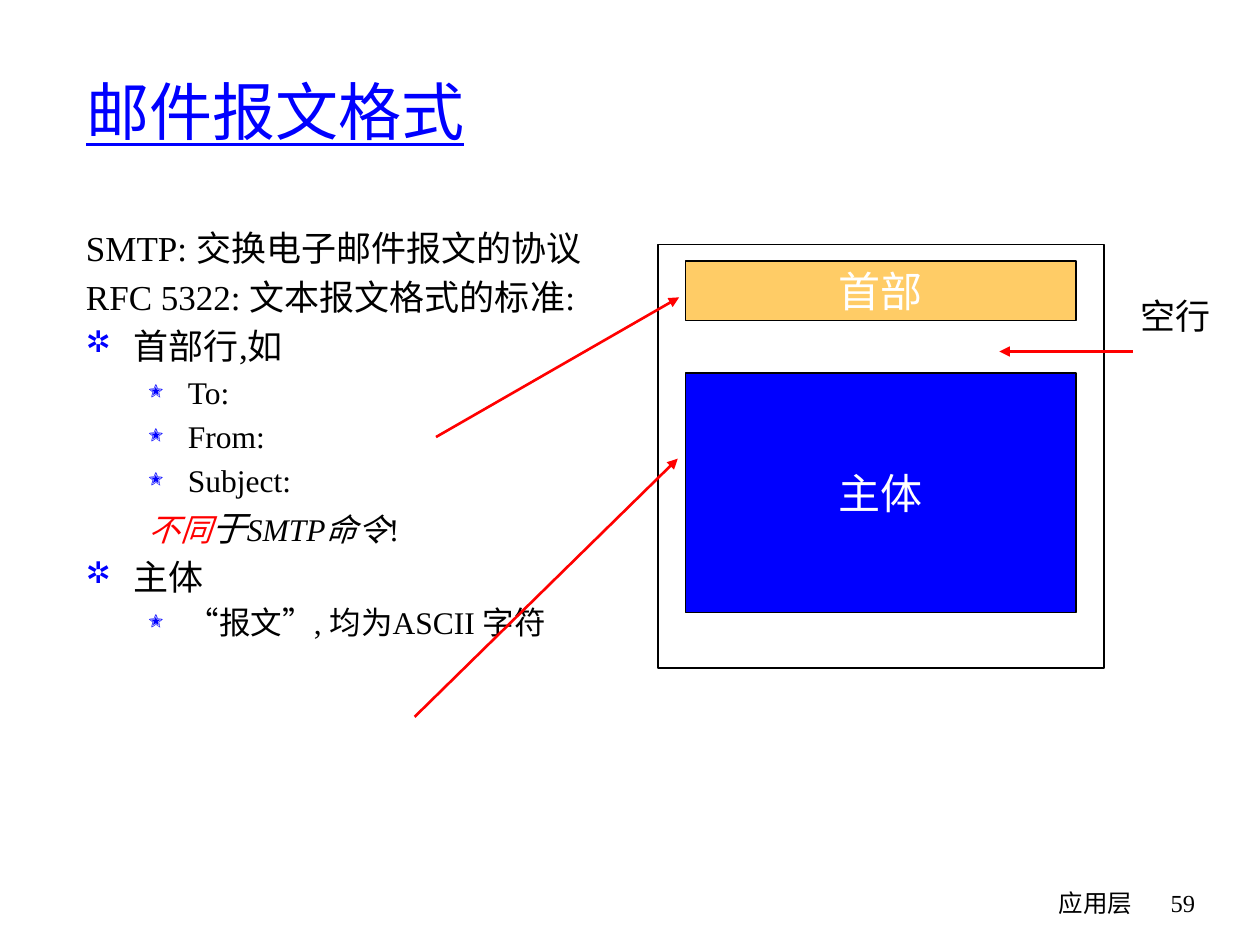
from lxml.etree import SubElement
from pptx import Presentation
from pptx.dml.color import RGBColor
from pptx.enum.shapes import MSO_CONNECTOR, MSO_SHAPE
from pptx.enum.text import MSO_ANCHOR, MSO_AUTO_SIZE, PP_ALIGN
from pptx.oxml.ns import qn
from pptx.util import Inches, Pt

HUES = {"ink": "000000", "blue": "0000FF", "red": "FF0000",
        "gold": "FFCC66", "white": "FFFFFF"}
SERIF, COMIC = "Times New Roman", "Comic Neue"
COLS, ROWS = 120, 90
WIDE, HIGH = Inches(10), Inches(7.5)

LEVELS = {0: (0.38, -0.38, "❒", 85), 1: (0.81, -0.31, "❍", 75)}
BODY = [
    (0, False, [("SMTP: 交换电子邮件报文的协议", 20, "ink", False)]),
    (0, False, [("RFC 5322: 文本报文格式的标准:", 20, "ink", False)]),
    (0, True, [("首部行,如", 20, "ink", False)]),
    (1, True, [("To:", 18, "ink", False)]),
    (1, True, [("From:", 18, "ink", False)]),
    (1, True, [("Subject:", 18, "ink", False)]),
    (1, False, [("不同", 18, "red", True), ("于", 20, "ink", True),
                ("SMTP命令", 18, "ink", True), ("!", 18, "ink", False)]),
    (0, True, [("主体", 20, "ink", False)]),
    (1, True, [("“报文”, 均为ASCII 字符", 18, "ink", False)]),
]
PARTS = [("首部", "gold", (6.2, 3.9, 87.6, 14)),
         ("主体", "blue", (6.2, 30.4, 87.6, 56.5))]
ARROWS = [((-49.7, 45.5), (4.8, 12.5)),
          ((-54.5, 111.6), (4.5, 50.6)),
          ((106.5, 25.3), (76.6, 25.3))]


def hue(name):
    """Return the named colour."""
    return RGBColor.from_string(HUES[name])


def cells(x, y, w, h):
    """Turn grid columns and rows into slide lengths."""
    return (int(WIDE * x / COLS), int(HIGH * y / ROWS),
            int(WIDE * w / COLS), int(HIGH * h / ROWS))


def share(box, x, y, w=0, h=0):
    """Return an area given as percentages of a box."""
    left, top, wide, high = box
    return (int(left + wide * x / 100), int(top + high * y / 100),
            int(wide * w / 100), int(high * h / 100))


def style(run, size, face, color):
    """Set the size, face and colour of a run."""
    run.font.size = Pt(size)
    run.font.name = face
    run.font.color.rgb = hue(color)


def write(shape, text, size, face, color, align):
    """Put one styled line of text in a shape."""
    para = shape.text_frame.paragraphs[0]
    para.text = text
    para.alignment = align
    style(para.runs[0], size, face, color)


def indent(para, level, marked, first):
    """Give a paragraph its spacing, hanging indent and bullet."""
    left, hang, mark, scale = LEVELS[level]
    para.level = level
    props = para._p.get_or_add_pPr()
    props.set("marL", str(Inches(left)))
    props.set("indent", str(Inches(hang)))
    props.set("hangingPunct", "0")
    if not first:
        gap = SubElement(props, qn("a:spcBef"))
        SubElement(gap, qn("a:spcPct"), val="20000")
    if marked:
        tint = SubElement(props, qn("a:buClr"))
        SubElement(tint, qn("a:srgbClr"), val=HUES["blue"])
        SubElement(props, qn("a:buSzPct"), val=str(scale * 1000))
        SubElement(props, qn("a:buFont"), typeface="ZapfDingbats")
        SubElement(props, qn("a:buChar"), char=mark)
    else:
        SubElement(props, qn("a:buNone"))


def heading(slide, box):
    """Place and format the title."""
    title = slide.shapes.title
    title.left, title.top, title.width, title.height = box
    title.text_frame.vertical_anchor = MSO_ANCHOR.MIDDLE
    write(title, "邮件报文格式", 36, SERIF, "blue", PP_ALIGN.LEFT)
    title.text_frame.paragraphs[0].runs[0].font.underline = True


def outline(slide, box):
    """Write the bulleted text."""
    frame = slide.shapes.add_textbox(*box).text_frame
    frame.word_wrap = True
    for i, (level, marked, runs) in enumerate(BODY):
        para = frame.add_paragraph() if i else frame.paragraphs[0]
        indent(para, level, marked, i == 0)
        for text, size, color, slant in runs:
            run = para.add_run()
            run.text = text
            style(run, size, SERIF, color)
            run.font.italic = slant


def block(slide, box, fill, weight):
    """Draw a black-edged rectangle, filled if a colour is given."""
    shape = slide.shapes.add_shape(MSO_SHAPE.RECTANGLE, *box)
    shape.shadow.inherit = False
    if fill:
        shape.fill.solid()
        shape.fill.fore_color.rgb = hue(fill)
    else:
        shape.fill.background()
    shape.line.color.rgb = hue("ink")
    shape.line.width = Pt(weight)
    return shape


def arrow(slide, box, start, end):
    """Draw a red arrow between two points of a box."""
    line = slide.shapes.add_connector(
        MSO_CONNECTOR.STRAIGHT, *share(box, *start)[:2], *share(box, *end)[:2])
    line.line.color.rgb = hue("red")
    line.line.width = Pt(1.5)
    SubElement(line.line._get_or_add_ln(), qn("a:tailEnd"), type="triangle")
    SubElement(line._element.spPr, qn("a:effectLst"))


def message(slide, box):
    """Draw the message frame with its parts, label and arrows."""
    for text, fill, area in PARTS:
        part = block(slide, share(box, *area), fill, 0.75)
        part.text_frame.word_wrap = False
        part.text_frame.vertical_anchor = MSO_ANCHOR.MIDDLE
        write(part, text, 24, COMIC, "white", PP_ALIGN.CENTER)
    block(slide, box, None, 1)
    label = slide.shapes.add_textbox(*share(box, 105.4, 10.4, 21.5, 12.8))
    label.text_frame.word_wrap = False
    label.text_frame.auto_size = MSO_AUTO_SIZE.SHAPE_TO_FIT_TEXT
    write(label, "空行", 20, COMIC, "ink", PP_ALIGN.CENTER)
    for start, end in ARROWS:
        arrow(slide, box, start, end)


def footer(slide, box):
    """Write the chapter name and page number."""
    for text, face, x, w in (("应用层", COMIC, 0, 86.4), ("59", SERIF, 86.4, 13.6)):
        note = slide.shapes.add_textbox(*share(box, x, 0, w, 100))
        note.text_frame.word_wrap = True
        write(note, text, 14, face, "ink", PP_ALIGN.RIGHT)


def main():
    """Build and save the slide."""
    deck = Presentation()
    deck.slide_width, deck.slide_height = WIDE, HIGH
    slide = deck.slides.add_slide(deck.slide_layouts[5])
    footer(slide, cells(71, 84, 44, 6))
    heading(slide, cells(7, 3, 102, 15))
    outline(slide, cells(7, 21, 50, 61))
    message(slide, cells(62.64, 23.28, 42.48, 40.32))
    deck.save("out.pptx")


if __name__ == "__main__":
    main()
